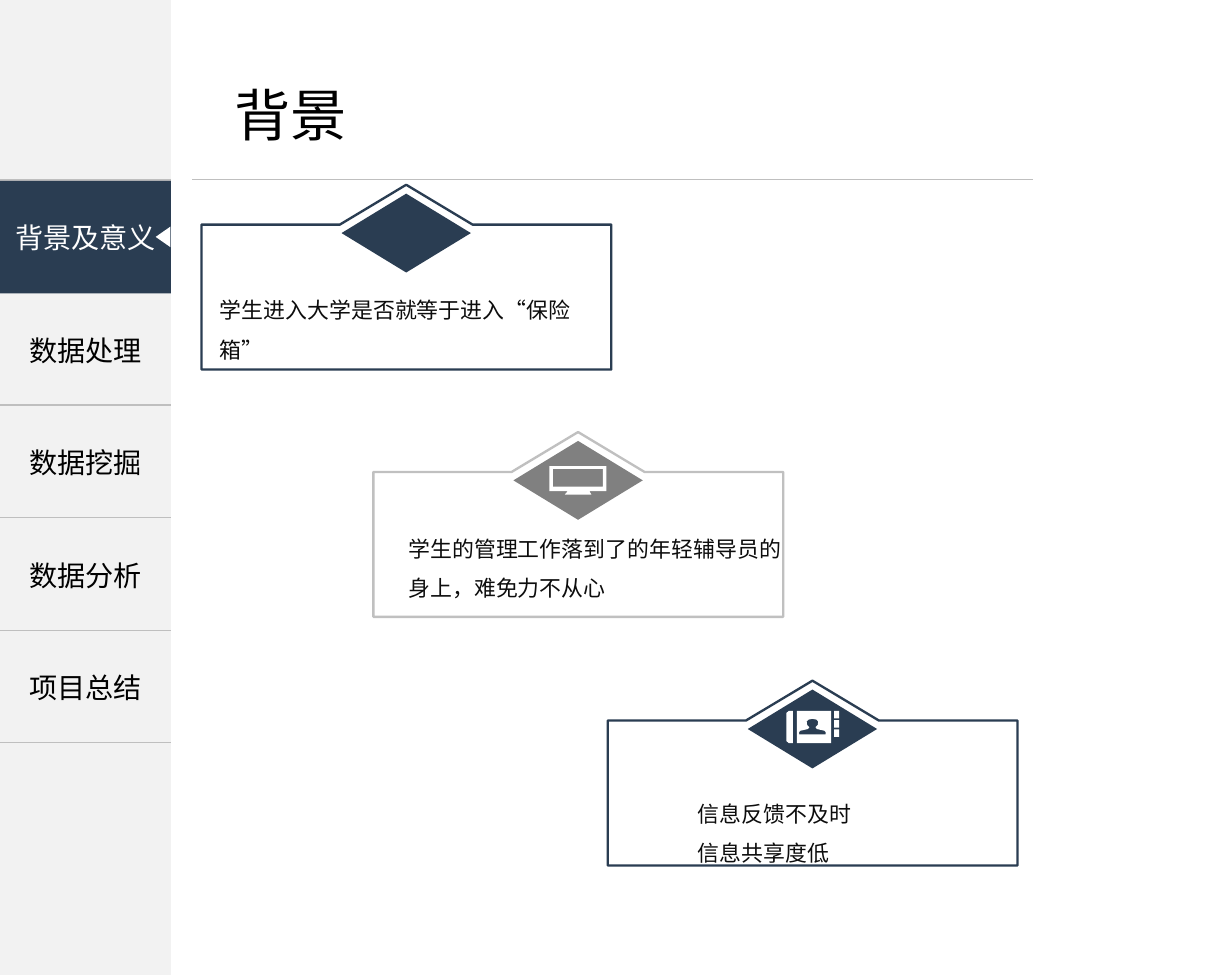
from lxml import etree
from pptx import Presentation, util as u
from pptx.dml.color import RGBColor
from pptx.enum import shapes, text
from pptx.oxml import parse_xml
from pptx.oxml.ns import nsdecls, qn

FONT = "Noto Sans CJK SC"
NAVY, RULE, WHITE, BLACK = "2A3D52", "BFBFBF", "FFFFFF", "000000"
rgb = RGBColor.from_string


def paint(sp, fill=None, line=None):
    sp.shadow.inherit = False
    if fill:
        sp.fill.solid()
        sp.fill.fore_color.rgb = rgb(fill)
    else:
        sp.fill.background()
    if line:
        sp.line.color.rgb = rgb(line)
        sp.line.width = u.Pt(1.5)
    else:
        sp.line.fill.background()


def write(tf, words, size, color, align=text.PP_ALIGN.LEFT, spacing=None):
    tf.text = words
    for p in tf.paragraphs:
        p.alignment = align
        p.line_spacing = spacing
        for r in p.runs:
            r.font.size = u.Pt(size)
            r.font.name = FONT
            r.font.color.rgb = rgb(color)
            etree.SubElement(r.font._element, qn("a:ea"), typeface=FONT)


prs = Presentation()
prs.slide_width, prs.slide_height = u.Cm(27.81), u.Cm(22)
s = prs.slides.add_slide(prs.slide_layouts[5])

# Sidebar
side_w, nav_top, row_h = 3.86, 4.06, 2.54
sp = s.shapes.add_shape(shapes.MSO_SHAPE.RECTANGLE, 0, 0, u.Cm(side_w), prs.slide_height)
paint(sp, "F2F2F2")

# Title and the rule below it
title = s.shapes.title
title.left, title.top, title.width, title.height = u.Cm(5.03), u.Cm(1.68), u.Cm(3.07), u.Cm(1.8)
tf = title.text_frame
write(tf, "背景", 36, BLACK)
tf.word_wrap = False
tf.vertical_anchor = text.MSO_ANCHOR.TOP
tf.auto_size = text.MSO_AUTO_SIZE.SHAPE_TO_FIT_TEXT
ln = s.shapes.add_connector(shapes.MSO_CONNECTOR.STRAIGHT,
                            u.Cm(4.34), u.Cm(nav_top), u.Cm(23.32), u.Cm(nav_top))
ln.line.color.rgb = rgb(RULE)
ln.line.width = u.Pt(0.5)
etree.SubElement(ln._element.spPr, qn("a:effectLst"))

# Navigation table; the first row lies under the active tab
sections = ["", "数据处理", "数据挖掘", "数据分析", "项目总结"]
tbl = s.shapes.add_table(len(sections), 1, 0, u.Cm(nav_top), u.Cm(side_w),
                         u.Cm(row_h * len(sections))).table
tbl.first_row = tbl.horz_banding = False
for i, name in enumerate(sections):
    cell = tbl.cell(i, 0)
    cell.fill.background()
    cell.vertical_anchor = text.MSO_ANCHOR.MIDDLE
    cell.margin_left = cell.margin_right = u.Cm(0.2)
    cell.margin_top = cell.margin_bottom = u.Cm(0.15)
    write(cell.text_frame, name, 18, BLACK, text.PP_ALIGN.CENTER)
    solid = f'<a:solidFill><a:srgbClr val="{RULE}"/></a:solidFill>'
    borders = [("lnL", "<a:noFill/>"), ("lnR", "<a:noFill/>"), ("lnT", solid), ("lnB", solid)]
    for k, (edge, fill) in enumerate(borders):
        xml = f'<a:{edge} {nsdecls("a")} w="12700">{fill}</a:{edge}>'
        cell._tc.get_or_add_tcPr().insert(k, parse_xml(xml))

# Active tab with its pointer
tab = s.shapes.add_shape(shapes.MSO_SHAPE.RECTANGLE, 0, u.Cm(4.08), u.Cm(side_w), u.Cm(row_h))
paint(tab, NAVY)
write(tab.text_frame, "背景及意义", 18, WHITE, text.PP_ALIGN.CENTER)
tab.text_frame.vertical_anchor = text.MSO_ANCHOR.MIDDLE
tab.text_frame.margin_left = tab.text_frame.margin_right = 0
pointer = s.shapes.add_shape(shapes.MSO_SHAPE.ISOSCELES_TRIANGLE,
                             u.Cm(3.45), u.Cm(5.18), u.Cm(0.46), u.Cm(0.33))
pointer.rotation = 270
paint(pointer, WHITE)

# Card outline and icons, in cm from the card's top left corner
frame = [(4.62, 0), (6.12, 0.9), (9.25, 0.9), (9.25, 4.17), (0, 4.17), (0, 0.9), (3.12, 0.9)]
monitor = [
    [(3.97, 0.77), (5.26, 0.77), (5.26, 1.33), (3.97, 1.33)],
    [(4.05, 0.83), (5.18, 0.83), (5.18, 1.23), (4.05, 1.23)],
    [(4.38, 1.34), (4.88, 1.34), (4.92, 1.41), (4.32, 1.41)],
]
half = [(4.32, 1.21), (4.32, 1.16), (4.35, 1.13), (4.52, 1.09), (4.55, 1.05),
        (4.5, 1), (4.49, 0.92), (4.53, 0.88), (4.62, 0.86)]
person = half + [(9.24 - x, y) for x, y in reversed(half[:-1])]
spine = [(4.09, 0.68), (4.18, 0.68), (4.18, 1.41), (4.09, 1.41), (4.03, 1.36), (4.03, 0.73)]
page = [(4.27, 0.68), (5.04, 0.68), (5.04, 1.41), (4.27, 1.41)]
tabs = [[(5.11, y), (5.22, y), (5.22, y + 0.17), (5.11, y + 0.17)] for y in (0.68, 0.89, 1.1)]
address_book = [spine, page, person] + tabs

# Cards: position, line, diamond, icon, text position, text
cards = [
    (4.55, 4.17, NAVY, NAVY, [], 4.83, 6.32, "学生进入大学是否就等于进入“保险箱”"),
    (8.43, 9.75, "C0C0C0", "808080", monitor, 9.09, 11.71,
     "学生的管理工作落到了的年轻辅导员的身上，难免力不从心"),
    (13.72, 15.36, NAVY, NAVY, address_book, 15.62, 17.68, "信息反馈不及时\n信息共享度低"),
]
for left, top, line, fill, icon, text_x, text_y, words in cards:
    diamond = s.shapes.add_shape(shapes.MSO_SHAPE.DIAMOND, u.Cm(left + 3.16), u.Cm(top + 0.2),
                                 u.Cm(2.92), u.Cm(1.78))
    paint(diamond, fill)
    for contours, inside, edge in [([frame], None, line), (icon, WHITE, None)]:
        if not contours:
            continue
        fb = None
        for contour in contours:
            pts = [(u.Cm(left + x), u.Cm(top + y)) for x, y in contour]
            if fb is None:
                fb = s.shapes.build_freeform(*pts[0])
            else:
                fb.move_to(*pts[0])
            fb.add_line_segments(pts[1:], close=True)
        paint(fb.convert_to_shape(), inside, edge)
    tf = s.shapes.add_textbox(u.Cm(text_x), u.Cm(text_y), u.Cm(8.7), u.Cm(1.9)).text_frame
    tf.word_wrap = True
    tf.auto_size = text.MSO_AUTO_SIZE.SHAPE_TO_FIT_TEXT
    tf.margin_left = tf.margin_right = u.Cm(0.13)
    tf.margin_top = tf.margin_bottom = u.Cm(0.08)
    write(tf, words, 14, "0D0D0D", spacing=1.5)

prs.save("out.pptx")
